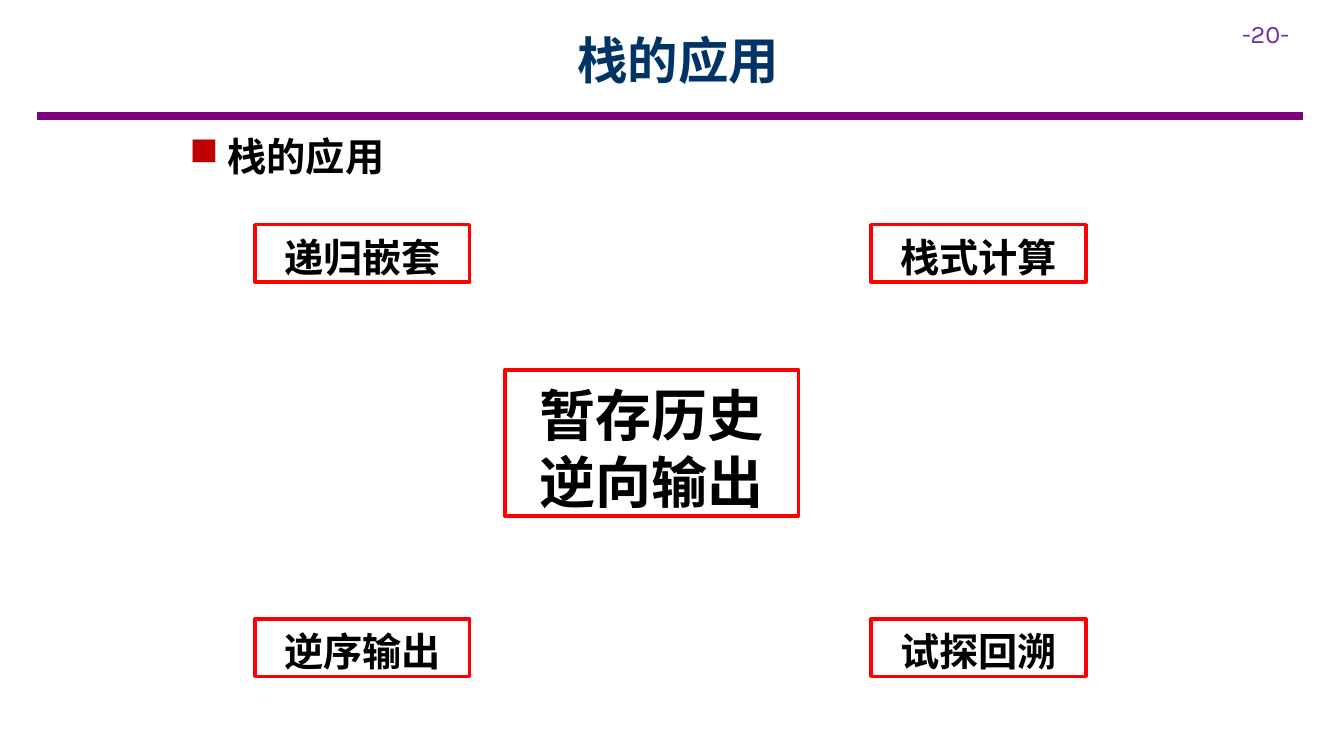
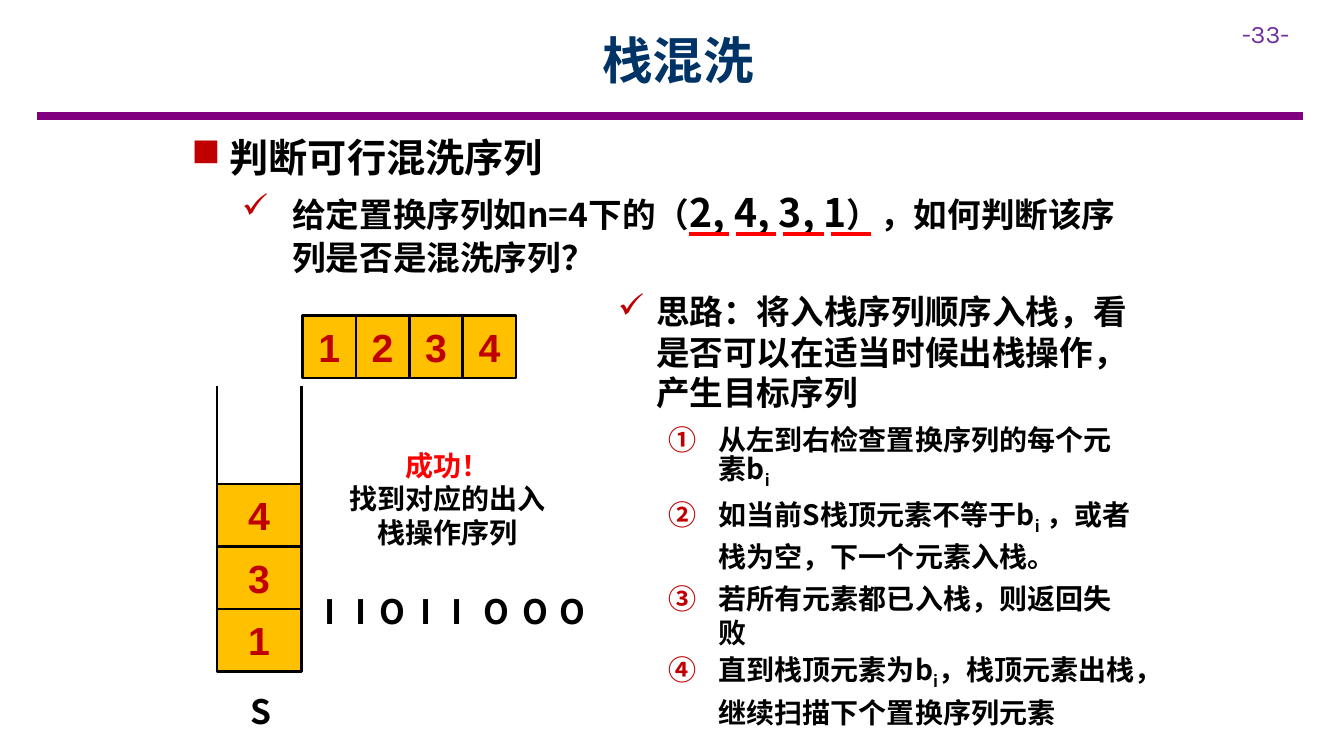
from dataclasses import dataclass

from pptx import Presentation
from pptx.dml.color import RGBColor as RGB
from pptx.enum.shapes import MSO_CONNECTOR as Connector, MSO_SHAPE as Shape
from pptx.enum.text import MSO_ANCHOR as Anchor, PP_ALIGN as Align
from pptx.oxml.ns import qn
from pptx.util import Inches, Pt
from lxml.etree import SubElement


@dataclass(frozen=True)
class Theme:
    # Fonts
    cjk: str = "Noto Sans CJK SC"
    digits: str = "Arial"
    number: str = "Karla"
    # Colours
    ink: str = "000000"
    title: str = "003366"
    band: str = "800080"
    page_number: str = "7030A0"
    accent: str = "C00000"
    alert: str = "FF0000"
    cell: str = "FFC000"
    # Type sizes in points
    title_size: int = 36
    hero_size: int = 40
    head_size: int = 28
    point_size: int = 24
    step_size: int = 20
    number_size: int = 18
    # Line widths in points
    band_width: float = 6
    frame_width: float = 2.5
    mark_width: float = 3
    edge_width: float = 1.75
    # Line pitch, and the drop of the first line, per unit of type size
    pitch: float = 1.2
    drop: float = 0.09


THEME = Theme()


@dataclass(frozen=True)
class Box:
    left: float
    top: float
    width: float
    height: float

    def lengths(self):
        return [Inches(v) for v in (self.left, self.top, self.width, self.height)]

    def inner(self, left, top, width, height):
        return Box(self.left + left, self.top + top, width, height)


# Text

def add_span(para, text, size, color=THEME.ink, font=THEME.cjk, bold=True, base=0):
    span = para.add_run()
    span.text = text
    for name, value in {"size": Pt(size), "bold": bold, "name": font}.items():
        setattr(span.font, name, value)
    span.font.color.rgb = RGB.from_string(color)
    props = span._r.get_or_add_rPr()
    SubElement(props, qn("a:ea")).set("typeface", font)
    if base:
        props.set("baseline", str(base * 1000))


def set_bullet(para, mark, indent, hang):
    props = para._p.get_or_add_pPr()
    props.set("marL", str(Inches(indent)))
    props.set("indent", str(-Inches(hang)))
    color = SubElement(props, qn("a:buClr"))
    SubElement(color, qn("a:srgbClr")).set("val", THEME.accent)
    if mark == "circleNumDbPlain":
        SubElement(props, qn("a:buAutoNum")).set("type", mark)
    else:
        SubElement(props, qn("a:buChar")).set("char", mark)


def set_frame(frame, anchor=Anchor.TOP, side=0.1, top=0.05, bottom=0.05):
    formats = {
        "word_wrap": True,
        "vertical_anchor": anchor,
        "margin_left": Inches(side),
        "margin_right": Inches(side),
        "margin_top": Inches(top),
        "margin_bottom": Inches(bottom),
    }
    for name, value in formats.items():
        setattr(frame, name, value)


def fill_lines(frame, lines):
    """Each line is a dict: spans, size, and optional format values."""
    set_frame(frame, top=0.05 + lines[0]["size"] * THEME.drop / 72)
    for index, line in enumerate(lines):
        para = frame.add_paragraph() if index else frame.paragraphs[0]
        size = line["size"]
        formats = {
            "alignment": line.get("align", Align.LEFT),
            "line_spacing": Pt(line.get("pitch", size * THEME.pitch)),
            "space_after": Pt(line.get("after", 0)),
        }
        for name, value in formats.items():
            setattr(para, name, value)
        if "bullet" in line:
            set_bullet(para, *line["bullet"])
        for text, look in line["spans"]:
            add_span(para, text, **{"size": size, **look})


def add_lines(page, box, lines):
    fill_lines(page.shapes.add_textbox(*box.lengths()).text_frame, lines)


def heading(text, after=6):
    return {"spans": [(text, {})], "size": THEME.head_size, "after": after,
            "bullet": ("■", 0.38, 0.38)}


# Shapes

def add_rule(page, start, end, color, width):
    rule = page.shapes.add_connector(
        Connector.STRAIGHT, *[Inches(v) for v in (*start, *end)])
    rule.line.color.rgb = RGB.from_string(color)
    rule.line.width = Pt(width)
    SubElement(rule._element.spPr, qn("a:effectLst"))


def add_rect(page, box, line_color, line_width, fill=None):
    rect = page.shapes.add_shape(Shape.RECTANGLE, *box.lengths())
    rect.shadow.inherit = False
    if fill:
        rect.fill.solid()
        rect.fill.fore_color.rgb = RGB.from_string(fill)
    else:
        rect.fill.background()
    rect.line.color.rgb = RGB.from_string(line_color)
    rect.line.width = Pt(line_width)
    return rect


def add_label(page, box, text, size):
    rect = add_rect(page, box, THEME.alert, THEME.frame_width)
    fill_lines(rect.text_frame,
               [{"spans": [(text, {})], "size": size, "align": Align.CENTER}])


def add_cell(page, box, text):
    rect = add_rect(page, box, THEME.ink, THEME.edge_width, THEME.cell)
    set_frame(rect.text_frame, Anchor.MIDDLE, top=0.1, bottom=0.1)
    para = rect.text_frame.paragraphs[0]
    para.alignment = Align.CENTER
    add_span(para, text, THEME.head_size, THEME.accent, THEME.digits)


# Shared parts of every page

def add_page(deck, title, number):
    page = deck.slides.add_slide(deck.slide_layouts[6])
    add_rule(page, (0.37, 1.15), (12.92, 1.15), THEME.band, THEME.band_width)

    frame = page.shapes.add_textbox(*Box(12.22, 0.13, 1.11, 0.4).lengths()).text_frame
    set_frame(frame)
    add_span(frame.paragraphs[0], f"-{number}-", THEME.number_size,
             THEME.page_number, THEME.number, bold=False)

    frame = page.shapes.add_textbox(*Box(2.57, 0.09, 8.31, 1).lengths()).text_frame
    set_frame(frame, Anchor.MIDDLE)
    frame.paragraphs[0].alignment = Align.CENTER
    add_span(frame.paragraphs[0], title, THEME.title_size, THEME.title)
    return page


# Regions

def add_uses(page, box):
    """Four uses at the corners around the central idea."""
    width, height = 2.13, 0.57
    rows = [("递归嵌套", "栈式计算"), ("逆序输出", "试探回溯")]
    for row, names in enumerate(rows):
        for column, name in enumerate(names):
            spot = box.inner(column * (box.width - width),
                             row * (box.height - height), width, height)
            add_label(page, spot, name, THEME.head_size)
    add_label(page, box.inner(2.48, 1.44, 2.91, 1.45),
              "暂存历史逆向输出", THEME.hero_size)


def add_question(page, box):
    """Heading and question, with each target number underlined."""
    point = THEME.point_size
    add_lines(page, box, [
        heading("判断可行混洗序列", after=9),
        {"spans": [("给定置换序列如n=4下的（", {}),
                   ("2, 4, 3, 1", {"size": THEME.head_size}),
                   ("），如何判断该序列是否是混洗序列？", {})],
         "size": point, "pitch": 30, "after": 6, "bullet": ("✓", 1, 0.5)},
    ])
    for index in range(4):
        left, top = box.left + 5.03 + index * 0.47, box.top + 1.08
        add_rule(page, (left, top), (left + 0.4, top), THEME.alert, THEME.mark_width)


def add_method(page, box):
    """The idea and its numbered steps; steps with subscripts are set wider."""
    sub = ("i", {"base": -25})
    steps = [
        ([("从左到右检查置换序列的每个元素b", {}), sub], 24, 6),
        ([("如当前S栈顶元素不等于b", {}), sub,
          (" ，或者栈为空，下一个元素入栈。", {})], 27, 6),
        ([("若所有元素都已入栈，则返回失败", {})], 24, 3),
        ([("直到栈顶元素为b", {}), sub,
          ("，栈顶元素出栈，继续扫描下个置换序列元素", {})], 27, 6),
    ]
    idea = {"spans": [("思路：将入栈序列顺序入栈，看是否可以在适当时候出栈操作，产生目标序列", {})],
            "size": THEME.point_size, "after": 7, "bullet": ("✓", 0.38, 0.38)}
    add_lines(page, box, [idea] + [
        {"spans": spans, "size": THEME.step_size, "pitch": pitch, "after": after,
         "bullet": ("circleNumDbPlain", 1, 0.5)}
        for spans, pitch, after in steps])


def add_queue(page, box, values):
    """Input row of equal cells on a base line."""
    width = box.width / len(values)
    bottom = box.top + box.height
    add_rule(page, (box.left, bottom), (box.left + box.width, bottom),
             THEME.ink, THEME.edge_width)
    for index, value in enumerate(values):
        add_cell(page, box.inner(index * width, 0, width, box.height), value)


def add_stack(page, box, values):
    """Open-topped stack, filled from the bottom, with its name below."""
    right, bottom = box.left + box.width, box.top + box.height
    corners = [(box.left, box.top), (box.left, bottom), (right, bottom), (right, box.top)]
    for start, end in zip(corners, corners[1:]):
        add_rule(page, start, end, THEME.ink, THEME.edge_width)
    height = 0.62
    for level, value in enumerate(values, 1):
        add_cell(page, box.inner(0, box.height - level * height, box.width, height), value)
    add_lines(page, box.inner(0.24, box.height + 0.11, 0.88, 0.5),
              [{"spans": [("S", {})], "size": THEME.point_size}])


def add_result(page, box):
    """Verdict and the push (I) and pop (O) operations found."""
    size = THEME.step_size
    add_lines(page, box.inner(0.2, 0, 2.24, 1.11), [
        {"spans": [("成功！", {"color": THEME.alert})], "size": size, "align": Align.CENTER},
        {"spans": [("找到对应的出入栈操作序列", {})], "size": size, "align": Align.CENTER},
    ])
    offsets = (0, 0.31, 0.55, 0.95, 1.26, 1.58, 1.96, 2.33)
    for operation, offset in zip("IIOIIOOO", offsets):
        add_lines(page, box.inner(offset, 1.41, 0.46, 0.5),
                  [{"spans": [(operation, {})], "size": THEME.point_size}])


# Pages

def build_uses_page(deck):
    page = add_page(deck, "栈的应用", 20)
    add_lines(page, Box(1.78, 1.23, 8.98, 0.57), [heading("栈的应用")])
    add_uses(page, Box(2.53, 2.23, 8.24, 4.48))


def build_shuffle_page(deck):
    page = add_page(deck, "栈混洗", 33)
    add_question(page, Box(1.8, 1.24, 9.67, 1.53))
    add_method(page, Box(6.03, 2.81, 5.36, 4.34))
    add_stack(page, Box(2.15, 3.83, 0.84, 2.83), "134")
    add_queue(page, Box(3, 3.13, 2.12, 0.62), "1234")
    add_result(page, Box(3.12, 4.37, 2.79, 1.91))


def main():
    deck = Presentation()
    deck.slide_width, deck.slide_height = Inches(13.33), Inches(7.5)
    build_uses_page(deck)
    build_shuffle_page(deck)
    deck.save("out.pptx")


if __name__ == "__main__":
    main()
